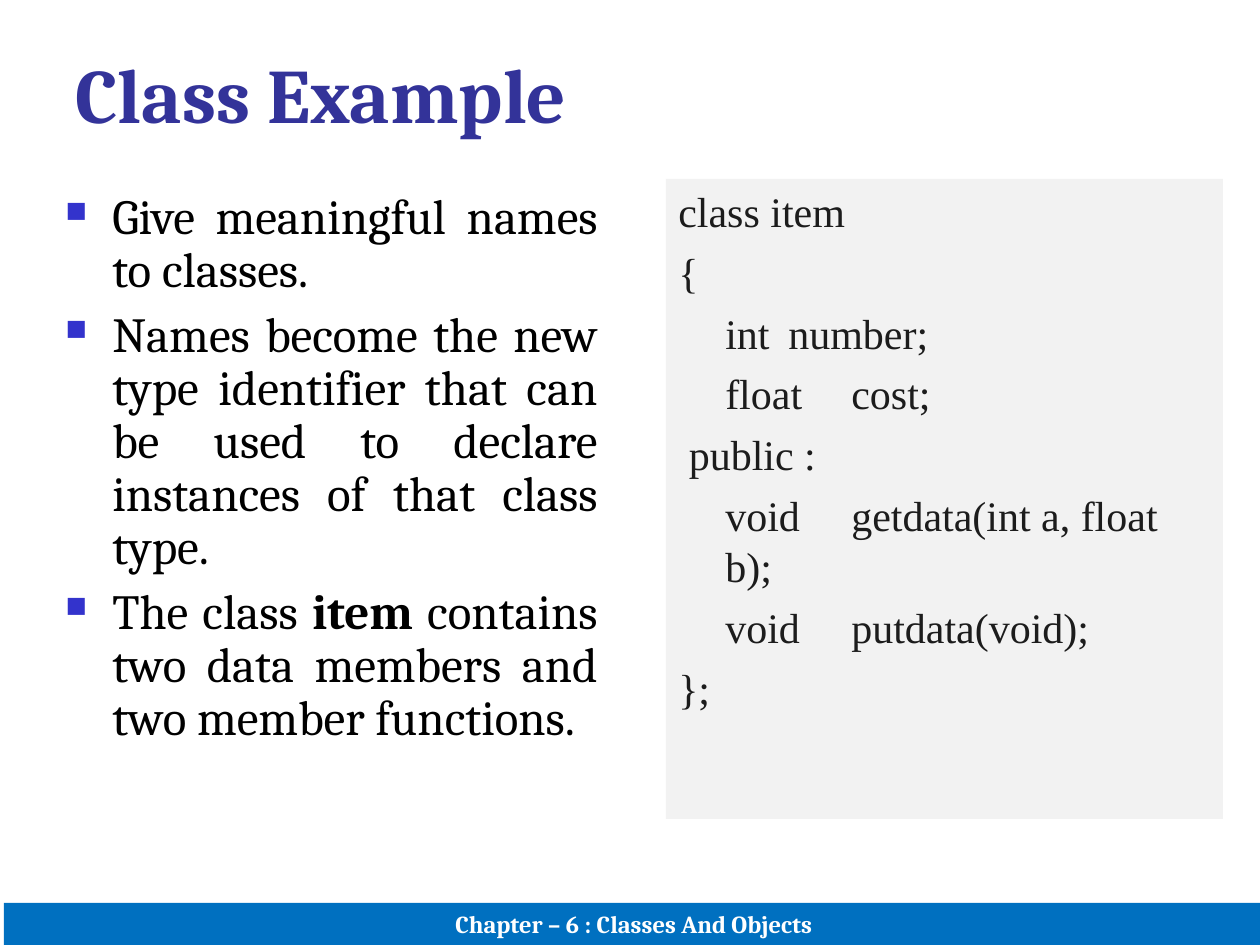
import pptx
import pptx.util
import pptx.dml.color
import pptx.enum.shapes
import pptx.enum.text
import pptx.oxml

PX = 914400 // 126
HUES = {"title": "333399", "mark": "3333CC", "text": "000000", "code": "1C1C1C",
        "panel": "F2F2F2", "bar": "0070C0", "white": "FFFFFF"}
ALIGN = pptx.enum.text.PP_ALIGN
ANCHOR = pptx.enum.text.MSO_ANCHOR
INDENT = 47

POINTS = [
    ["Give meaningful names to classes."],
    ["Names become the new type identifier that can be used to declare "
     "instances of that class type."],
    ["The class ", "item", " contains two data members and two member functions."],
]
CODE = ["class item", "{", "\tint\tnumber;", "\tfloat\tcost;", " public :",
        "\tvoid\tgetdata(int a, float b);", "\tvoid\tputdata(void);", "};"]


def color(name):
    return pptx.dml.color.RGBColor.from_string(HUES[name])


def style(run, font, size, hue, bold=False):
    run.font.name = font
    run.font.size = pptx.util.Pt(size)
    run.font.color.rgb = color(hue)
    run.font.bold = bold


def add_text(slide, box):
    frame = slide.shapes.add_textbox(*(n * PX for n in box)).text_frame
    frame.word_wrap = True
    return frame


def add_rect(slide, box, hue):
    rect = slide.shapes.add_shape(pptx.enum.shapes.MSO_SHAPE.RECTANGLE,
                                  *(n * PX for n in box))
    rect.shadow.inherit = False
    rect.fill.solid()
    rect.fill.fore_color.rgb = color(hue)
    rect.line.fill.background()
    rect.text_frame.word_wrap = True
    return rect.text_frame


def add_item(frame, index, gap):
    """Return the paragraph at index, with a hanging indent and a gap above."""
    para = frame.paragraphs[0] if index == 0 else frame.add_paragraph()
    props = para._p.get_or_add_pPr()
    props.set("marL", str(INDENT * PX))
    props.set("indent", str(-INDENT * PX))
    if index:
        para.space_before = pptx.util.Pt(gap)
    return para


def add_part(parent, tag, **attrs):
    part = pptx.oxml.xmlchemy.OxmlElement(tag)
    for name, value in attrs.items():
        part.set(name, str(value))
    parent.append(part)
    return part


def add_title(slide, box):
    frame = add_text(slide, box)
    frame.vertical_anchor = ANCHOR.MIDDLE
    frame.text = "Class Example"
    style(frame.paragraphs[0].runs[0], "Cambria", 44, "title", True)


def add_points(slide, box):
    frame = add_text(slide, box)
    for index, parts in enumerate(POINTS):
        para = add_item(frame, index, 7)
        para.alignment = ALIGN.JUSTIFY
        para.line_spacing = 0.9
        props = para._p.get_or_add_pPr()
        add_part(add_part(props, "a:buClr"), "a:srgbClr", val=HUES["mark"])
        add_part(props, "a:buSzPct", val=60000)
        add_part(props, "a:buChar", char="■")
        for text in parts:
            run = para.add_run()
            run.text = text
            style(run, "Cambria", 28, "text", text == "item")


def add_code(slide, box):
    frame = add_rect(slide, box, "panel")
    frame.vertical_anchor = ANCHOR.TOP
    for index, line in enumerate(CODE):
        para = add_item(frame, index, 6)
        para.alignment = ALIGN.LEFT
        tabs = add_part(para._p.get_or_add_pPr(), "a:tabLst")
        for inch in range(8):
            add_part(tabs, "a:tab", pos=inch * 126 * PX, algn="l")
        para.text = line
        style(para.runs[0], "Times New Roman", 24, "code")


def add_footer(slide, box):
    frame = add_rect(slide, box, "bar")
    frame.vertical_anchor = ANCHOR.BOTTOM
    frame.text = "Chapter – 6 : Classes And Objects"
    frame.paragraphs[0].alignment = ALIGN.CENTER
    style(frame.paragraphs[0].runs[0], "Cambria", 14, "white", True)


def main():
    deck = pptx.Presentation()
    deck.slide_width = 1260 * PX
    deck.slide_height = 945 * PX
    slide = deck.slides.add_slide(deck.slide_layouts[6])
    add_title(slide, (63, 38, 1134, 110))
    add_points(slide, (53, 186, 557, 624))
    add_code(slide, (666, 179, 557, 640))
    add_footer(slide, (4, 903, 1260, 42))
    deck.save("out.pptx")


if __name__ == "__main__":
    main()
